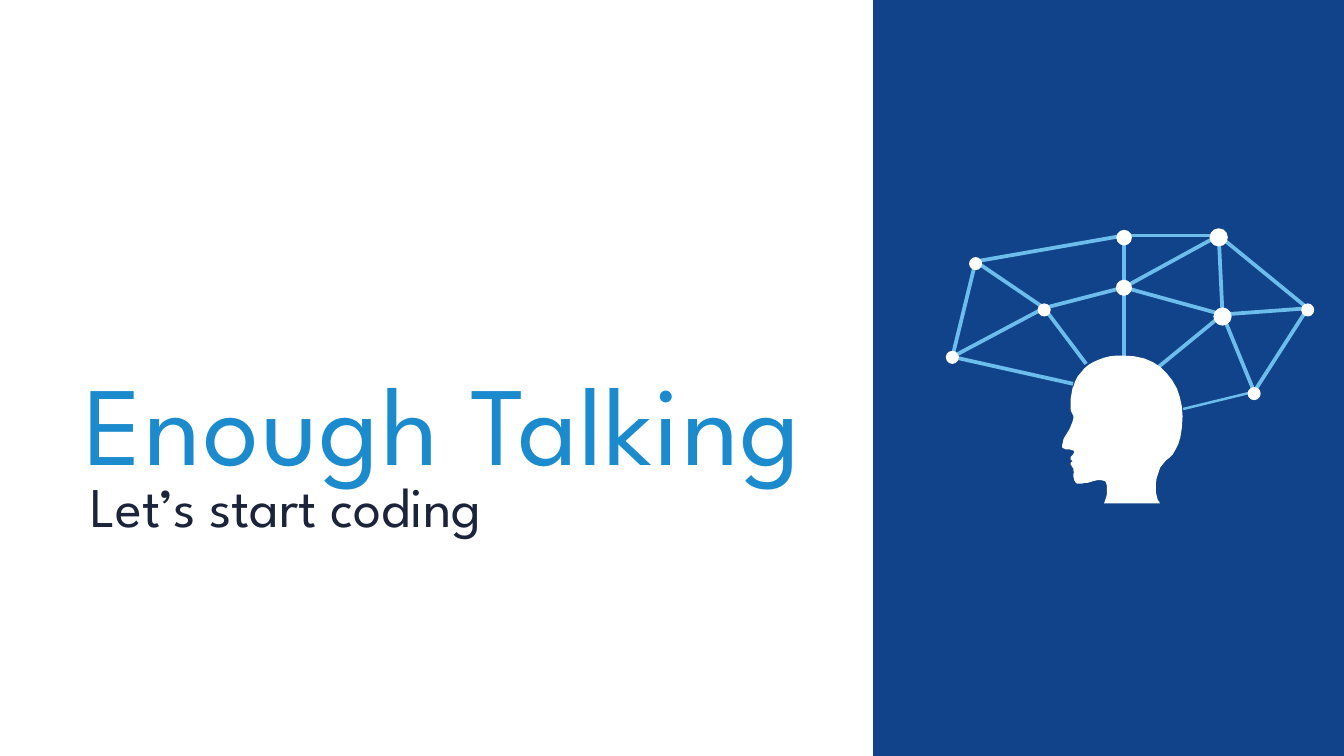
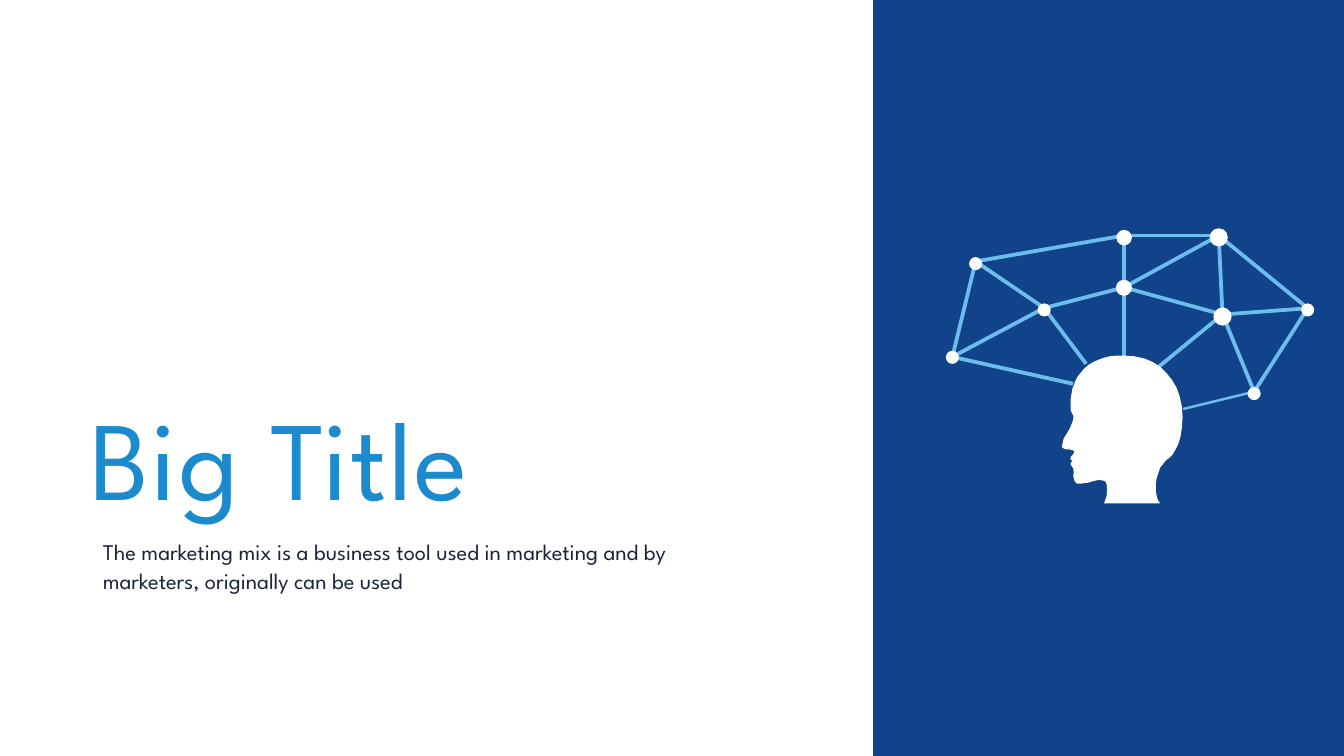
from collections import namedtuple

from lxml import etree
from pptx import Presentation
from pptx.dml.color import RGBColor
from pptx.enum import shapes, text
from pptx.oxml import ns
from pptx.util import Pt

NAVY = RGBColor(0x10, 0x43, 0x89)
BLUE = RGBColor(0x1B, 0x8B, 0xCD)
SKY = RGBColor(0x6C, 0xBC, 0xEC)
INK = RGBColor(0x1B, 0x24, 0x3B)
WHITE = RGBColor(0xFF, 0xFF, 0xFF)

FONT = "League Spartan"
WIDTH, HEIGHT = 1919.5, 1080
PANEL_LEFT = 1247
LINK_WIDTH, THIN_LINK_WIDTH = 5.4, 3.6
CURVE_STEPS = 10

# Links meet at (x, link_y); the dot is centred on (x, dot_y).
Node = namedtuple("Node", "x link_y dot_y size")
NODES = {
    "centre": Node(1605.2, 410.6, 411.1, 23),
    "inner right": Node(1746, 449.3, 452.2, 26),
    "top right": Node(1740.6, 336.5, 339.1, 26),
    "far right": Node(1867.7, 440.4, 442.8, 18.7),
    "inner left": Node(1491.3, 440, 442.8, 18.7),
    "top": Node(1605.4, 336.5, 339.5, 22.3),
    "far left": Node(1360.2, 509.8, 510.5, 18.7),
    "low right": Node(1791.2, 559.6, 562.3, 18.7),
    "upper left": Node(1393.4, 373.5, 376.6, 18.7),
}
NODE_LINKS = [
    ("low right", "far right"), ("low right", "inner right"),
    ("inner right", "far right"), ("inner right", "top right"),
    ("top right", "far right"), ("top", "top right"),
    ("centre", "top right"), ("inner left", "centre"),
    ("upper left", "top"), ("top", "centre"),
    ("upper left", "inner left"), ("far left", "inner left"),
    ("far left", "upper left"), ("centre", "inner right"),
]
# Where each link touches the head.
HEAD_LINKS = [
    ("low right", (1689.8, 584.3), THIN_LINK_WIDTH),
    ("inner right", (1654.2, 524.5), LINK_WIDTH),
    ("centre", (1605.2, 509.8), LINK_WIDTH),
    ("inner left", (1551.2, 519.8), LINK_WIDTH),
    ("far left", (1532.5, 548.3), LINK_WIDTH),
]
# Each curve is two control points and an end point.
HEAD_START = (1604.9, 507.6)
HEAD_CURVES = [
    ((1569.6, 507.6), (1548, 519.8), (1535, 545.8)),
    ((1530, 556.6), (1526.4, 585.4), (1530.7, 590.4)),
    ((1540.8, 600.5), (1517, 621.4), (1517, 636.5)),
    ((1517, 645.1), (1529.3, 640.8), (1532.9, 643.7)),
    ((1536.5, 647.3), (1528.6, 652.3), (1528.6, 653.8)),
    ((1528.6, 658.1), (1532.2, 658.8), (1534.3, 658.8)),
    ((1534.3, 658.8), (1529.3, 658.8), (1529.3, 662.4)),
    ((1529.3, 667.4), (1533.6, 665.3), (1533.6, 674.6)),
    ((1532.9, 681.8), (1532.9, 691.2), (1541.5, 691.2)),
    ((1553, 691.2), (1566, 683.3), (1576.8, 686.9)),
    ((1584, 689.8), (1581.8, 712.8), (1576.8, 718.6)),
    ((1576.8, 718.6), (1656.7, 718.6), (1656.7, 718.6)),
    ((1656.7, 718.6), (1644.5, 704.2), (1654.6, 673.9)),
    ((1661.8, 651.6), (1689.1, 655.2), (1689.1, 594.7)),
    ((1689.1, 546.5), (1656.7, 507.6), (1604.9, 507.6)),
]


def trace_curves(start, curves):
    """Return points along a chain of cubic Bézier curves."""
    points = []
    for c1, c2, end in curves:
        for i in range(1, CURVE_STEPS + 1):
            t = i / CURVE_STEPS
            weights = ((1 - t) ** 3, 3 * t * (1 - t) ** 2,
                       3 * t ** 2 * (1 - t), t ** 3)
            corners = (start, c1, c2, end)
            points.append(tuple(
                sum(w * c[axis] for w, c in zip(weights, corners))
                for axis in (0, 1)))
        start = end
    return points


class Deck:
    def __init__(self):
        self.prs = Presentation()
        self.prs.slide_width = Pt(WIDTH)
        self.prs.slide_height = Pt(HEIGHT)
        self.s = None

    def add_slide(self):
        self.s = self.prs.slides.add_slide(self.prs.slide_layouts[6])

    def add_text(self, content, box, size, color, wrap=True, leading=None,
                 tracking=None):
        sp = self.s.shapes.add_textbox(*map(Pt, box))
        tf = sp.text_frame
        tf.text = content
        tf.word_wrap = wrap
        tf.auto_size = text.MSO_AUTO_SIZE.SHAPE_TO_FIT_TEXT
        p = tf.paragraphs[0]
        if leading:
            p.line_spacing = Pt(leading)
        r = p.runs[0]
        r.font.name = FONT
        r.font.size = Pt(size)
        r.font.color.rgb = color
        if tracking:
            r.font._element.set("spc", str(tracking * 100))

    def add_title(self, content, left, top, width):
        self.add_text(content, (left, top, width, 201), 160, BLUE,
                      wrap=False, tracking=3)

    def add_subtitle(self, content, left, top, height, size):
        self.add_text(content, (left, top, 838, height), size, INK, leading=42)

    def paint(self, sp, color):
        sp.shadow.inherit = False
        sp.fill.solid()
        sp.fill.fore_color.rgb = color
        sp.line.fill.background()

    def add_panel(self):
        sp = self.s.shapes.add_shape(
            shapes.MSO_SHAPE.RECTANGLE, Pt(PANEL_LEFT), 0,
            Pt(WIDTH - PANEL_LEFT), Pt(HEIGHT))
        self.paint(sp, NAVY)

    def add_link(self, group, start, end, width=LINK_WIDTH):
        sp = group.shapes.add_connector(
            shapes.MSO_CONNECTOR.STRAIGHT, *map(Pt, (*start, *end)))
        sp.line.color.rgb = SKY
        sp.line.width = Pt(width)
        etree.SubElement(sp._element.spPr, ns.qn("a:effectLst"))

    def add_dot(self, group, node):
        left, top = node.x - node.size / 2, node.dot_y - node.size / 2
        sp = group.shapes.add_shape(
            shapes.MSO_SHAPE.OVAL, Pt(left), Pt(top),
            Pt(node.size), Pt(node.size))
        self.paint(sp, WHITE)

    def add_head(self):
        builder = self.s.shapes.build_freeform(*HEAD_START, scale=Pt(1))
        builder.add_line_segments(trace_curves(HEAD_START, HEAD_CURVES))
        self.paint(builder.convert_to_shape(), WHITE)

    def add_network(self):
        """Draw the links, the head over them, and the dots on top."""
        joints = {name: (n.x, n.link_y) for name, n in NODES.items()}
        links = self.s.shapes.add_group_shape()
        for start, end in NODE_LINKS:
            self.add_link(links, joints[start], joints[end])
        for name, contact, width in HEAD_LINKS:
            self.add_link(links, joints[name], contact, width)
        self.add_head()
        dots = self.s.shapes.add_group_shape()
        for node in NODES.values():
            self.add_dot(dots, node)


def main():
    deck = Deck()

    deck.add_slide()
    deck.add_subtitle("Let’s start coding", 121.7, 724.3, 60.5, 80)
    deck.add_title("Enough Talking", 113, 501, 1040.4)
    deck.add_panel()
    deck.add_network()

    deck.add_slide()
    deck.add_subtitle(
        "The marketing mix is a business tool used in marketing and by "
        "marketers, originally can be used", 139.7, 761, 92, 32)
    deck.add_title("Big Title", 122.4, 550.8, 640)
    deck.add_panel()
    deck.add_network()

    deck.prs.save("out.pptx")


if __name__ == "__main__":
    main()
